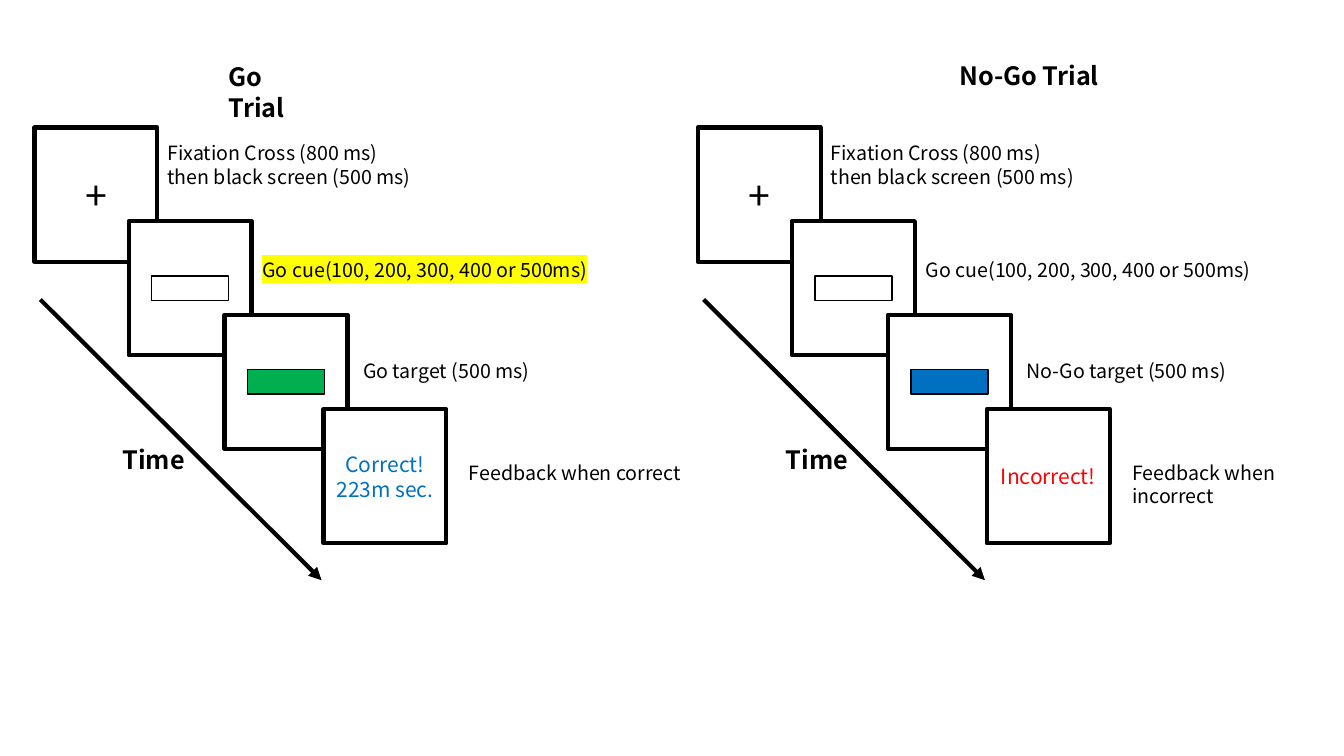
from dataclasses import dataclass

import pptx
import pptx.dml.color
import pptx.enum.shapes
import pptx.enum.text
import pptx.oxml
import pptx.oxml.ns
import pptx.util

RGBColor = pptx.dml.color.RGBColor
Align = pptx.enum.text.PP_ALIGN
Anchor = pptx.enum.text.MSO_ANCHOR
RECTANGLE = pptx.enum.shapes.MSO_SHAPE.RECTANGLE

BLACK = RGBColor(0x00, 0x00, 0x00)
WHITE = RGBColor(0xFF, 0xFF, 0xFF)
GREEN = RGBColor(0x00, 0xB0, 0x50)
BLUE = RGBColor(0x00, 0x70, 0xC0)
RED = RGBColor(0xFF, 0x00, 0x00)
YELLOW = RGBColor(0xFF, 0xFF, 0x00)
FONT = "Noto Sans CJK KR"

deck = pptx.Presentation()
deck.slide_width = pptx.util.Inches(13.33)
deck.slide_height = pptx.util.Inches(7.5)
slide = deck.slides.add_slide(deck.slide_layouts[6])

# Grid: one screen step is about one column across and one row down
COLUMN = deck.slide_width / 14
ROW = deck.slide_height / 8
TRIAL_SHIFT = 6.91
SCREEN_SIZE = (1.28, 1.42)
BAR_SIZE = (0.8, 0.26)
SCREENS = [(0.36, 1.35), (1.34, 2.34), (2.34, 3.33), (3.37, 4.33)]
CAPTIONS = [(1.64, 1.44, 3.53), (2.63, 2.68, 3.72), (3.68, 3.75, 3.72), (4.78, 4.82, 2.49)]
LINE_ROWS = 0.36


@dataclass(frozen=True)
class Trial:
    title: str
    title_box: tuple[float, float, float]
    target: str
    target_color: RGBColor
    feedback: str
    feedback_color: RGBColor
    outcome: str
    cue_highlight: RGBColor | None = None


TRIALS = [
    Trial("Go Trial", (2.28, 0.6, 0.95), "Go target (500 ms)", GREEN,
          "Correct!\n223m sec.", BLUE, "Feedback when correct", YELLOW),
    Trial("No-Go Trial", (2.98, 0.59, 1.8), "No-Go target (500 ms)", BLUE,
          "Incorrect!", RED, "Feedback when incorrect"),
]


def place(col: float, row: float, cols: float, rows: float) -> tuple[int, int, int, int]:
    return round(col * COLUMN), round(row * ROW), round(cols * COLUMN), round(rows * ROW)


def write(frame, text: str, *, size: float = 14, color: RGBColor = BLACK, bold: bool = False,
          align=Align.LEFT, anchor=Anchor.TOP, highlight: RGBColor | None = None) -> None:
    frame.word_wrap = True
    frame.vertical_anchor = anchor
    for index, line in enumerate(text.split("\n")):
        paragraph = frame.add_paragraph() if index else frame.paragraphs[0]
        paragraph.alignment = align
        run = paragraph.add_run()
        run.text = line
        run.font.name, run.font.size, run.font.bold = FONT, pptx.util.Pt(size), bold
        run.font.color.rgb = color
        if highlight is not None:
            fill = run.font.fill._xPr.find(pptx.oxml.ns.qn("a:solidFill"))
            fill.addnext(pptx.oxml.parse_xml(
                f'<a:highlight {pptx.oxml.ns.nsdecls("a")}>'
                f'<a:srgbClr val="{highlight}"/></a:highlight>'))


def label(text: str, col: float, row: float, cols: float, **style) -> None:
    box = slide.shapes.add_textbox(*place(col, row, cols, LINE_ROWS))
    write(box.text_frame, text, **style)


def rectangle(col: float, row: float, size: tuple[float, float], fill: RGBColor, weight: float):
    box = slide.shapes.add_shape(RECTANGLE, *place(col, row, *size))
    box.shadow.inherit = False
    box.fill.solid()
    box.fill.fore_color.rgb = fill
    box.line.color.rgb = BLACK
    box.line.width = pptx.util.Pt(weight)
    return box


def screen(col: float, row: float, text: str = "", bar: RGBColor | None = None, **style) -> None:
    frame = rectangle(col, row, SCREEN_SIZE, WHITE, 3).text_frame
    if text:
        write(frame, text, align=Align.CENTER, anchor=Anchor.MIDDLE, **style)
    if bar is not None:
        inset_col, inset_row = [(s - b) / 2 for s, b in zip(SCREEN_SIZE, BAR_SIZE)]
        rectangle(col + inset_col, row + inset_row, BAR_SIZE, bar, 1)


def time_arrow(shift: float) -> None:
    x1, y1, x2, y2 = place(shift + 0.42, 3.17, shift + 3.35, 6.14)
    arrow = slide.shapes.add_connector(pptx.enum.shapes.MSO_CONNECTOR.STRAIGHT, x1, y1, x2, y2)
    arrow.line.color.rgb = BLACK
    arrow.line.width = pptx.util.Pt(3)
    namespace = pptx.oxml.ns.nsdecls("a")
    arrow.line._get_or_add_ln().append(
        pptx.oxml.parse_xml(f'<a:tailEnd {namespace} type="triangle"/>'))
    arrow._element.spPr.append(pptx.oxml.parse_xml(f"<a:effectLst {namespace}/>"))


def draw_trial(trial: Trial, shift: float) -> None:
    # Screens, overlapping in the order they appear
    contents = [
        dict(text="+", size=28),
        dict(bar=WHITE),
        dict(bar=trial.target_color),
        dict(text=trial.feedback, size=15, color=trial.feedback_color),
    ]
    for (col, row), content in zip(SCREENS, contents):
        screen(col + shift, row, **content)

    # Time axis
    time_arrow(shift)
    label("Time", shift + 1.13, 4.65, 0.94, size=18, bold=True, align=Align.CENTER)

    # Captions beside the screens
    captions = [
        ("Fixation Cross (800 ms)\nthen black screen (500 ms)", None),
        ("Go cue(100, 200, 300, 400 or 500ms)", trial.cue_highlight),
        (trial.target, None),
        (trial.outcome, None),
    ]
    for (col, row, cols), (text, highlight) in zip(CAPTIONS, captions):
        label(text, col + shift, row, cols, highlight=highlight)

    # Trial title
    col, row, cols = trial.title_box
    label(trial.title, col + shift, row, cols, size=18, bold=True)


for number, trial in enumerate(TRIALS):
    draw_trial(trial, number * TRIAL_SHIFT)

deck.save("out.pptx")
